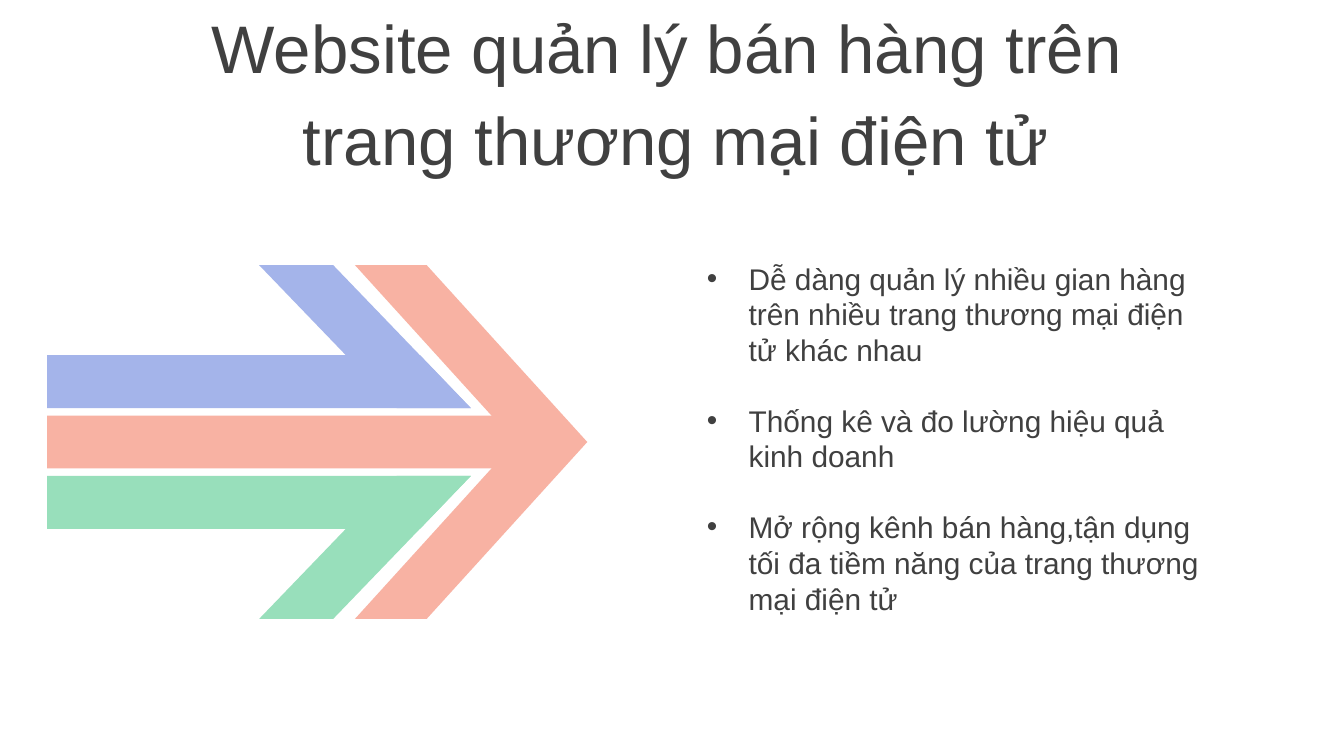
from lxml.etree import SubElement
from pptx import Presentation
from pptx.dml.color import RGBColor
from pptx.enum.shapes import MSO_SHAPE as Kind
from pptx.enum.text import MSO_ANCHOR as Anchor, PP_ALIGN as Align
from pptx.oxml.ns import qn
from pptx.util import Cm, Pt

TITLE = ["Website quản lý bán hàng trên ", "trang thương mại điện tử"]
POINTS = [
    "Dễ dàng quản lý nhiều gian hàng trên nhiều trang thương mại điện tử khác nhau",
    "Thống kê và đo lường hiệu quả kinh doanh",
    "Mở rộng kênh bán hàng,tận dụng tối đa tiềm năng của trang thương mại điện tử",
]
INK, CORAL, GREEN, BLUE = "404040", "F8B2A3", "98DFBB", "A4B4EA"

# Arrow layout in centimetres
LEFT, MID = 0.89, 8.35      # tail of the bars, axis of symmetry
BAR, GAP = 1.0, 0.14        # bar height, space between bars
WING_X, WING_W, WING_H = 4.9, 4.0, 2.7
HEAD_X, HEAD_W, HEAD_H = 6.71, 4.39, 6.68
TIP = WING_X + WING_W
NOTCH = TIP - 0.96          # where a side bar meets its slanted end


def paint(shape, color):
    shape.shadow.inherit = False
    shape.fill.solid()
    shape.fill.fore_color.rgb = RGBColor.from_string(color)
    shape.line.fill.background()
    return shape


def block(kind, x, y, w, h, color, adj=None):
    shape = slide.shapes.add_shape(kind, Cm(x), Cm(y), Cm(w), Cm(h))
    if adj is not None:
        shape.adjustments[0] = adj
    return paint(shape, color)


def write(lines, x, y, w, h, size, align=Align.LEFT, anchor=Anchor.TOP,
          lead=0, after=0, bullet=None):
    box = slide.shapes.add_textbox(Cm(x), Cm(y), Cm(w), Cm(h))
    frame = box.text_frame
    frame.word_wrap = True
    frame.vertical_anchor = anchor
    for i, line in enumerate(lines):
        para = frame.paragraphs[0] if i == 0 else frame.add_paragraph()
        para.alignment = align
        para.space_before, para.space_after = Pt(lead), Pt(after)
        run = para.add_run()
        run.text = line
        run.font.name, run.font.size = "Arial", Pt(size)
        run.font.color.rgb = RGBColor.from_string(INK)
        if bullet:
            props = para._p.get_or_add_pPr()
            props.set("marL", str(Cm(0.79)))
            props.set("indent", str(-Cm(0.79)))
            SubElement(props, qn("a:buFont")).set("typeface", "Arial")
            SubElement(props, qn("a:buChar")).set("char", bullet)


def wing(side, color):
    """Draw a side bar and its slanted end; side is -1 above the axis, 1 below."""
    near = MID + side * (BAR / 2 + GAP)
    far = near + side * BAR
    pen = slide.shapes.build_freeform(Cm(LEFT), Cm(near))
    pen.add_line_segments([(Cm(TIP), Cm(near)), (Cm(NOTCH), Cm(far)),
                           (Cm(LEFT), Cm(far))])
    paint(pen.convert_to_shape(), color)
    top = min(near, near + side * WING_H)
    end = block(Kind.PARALLELOGRAM, WING_X, top, WING_W, WING_H, color, 0.963)
    if side < 0:
        end._element.spPr.xfrm.set("flipH", "1")


deck = Presentation()
deck.slide_width, deck.slide_height = Cm(25.4), Cm(14.28)
slide = deck.slides.add_slide(deck.slide_layouts[6])

write(TITLE, 0.08, 0.23, 25.4, 3.05, 36, align=Align.CENTER,
      anchor=Anchor.MIDDLE, lead=6)
block(Kind.RECTANGLE, LEFT, MID - BAR / 2, 9.12, BAR, CORAL)
block(Kind.CHEVRON, HEAD_X, MID - HEAD_H / 2, HEAD_W, HEAD_H, CORAL, 0.691)
wing(1, GREEN)
wing(-1, BLUE)
write(POINTS, 13.11, 4.79, 9.83, 7.8, 16, after=18.5, bullet="•")

deck.save("out.pptx")
